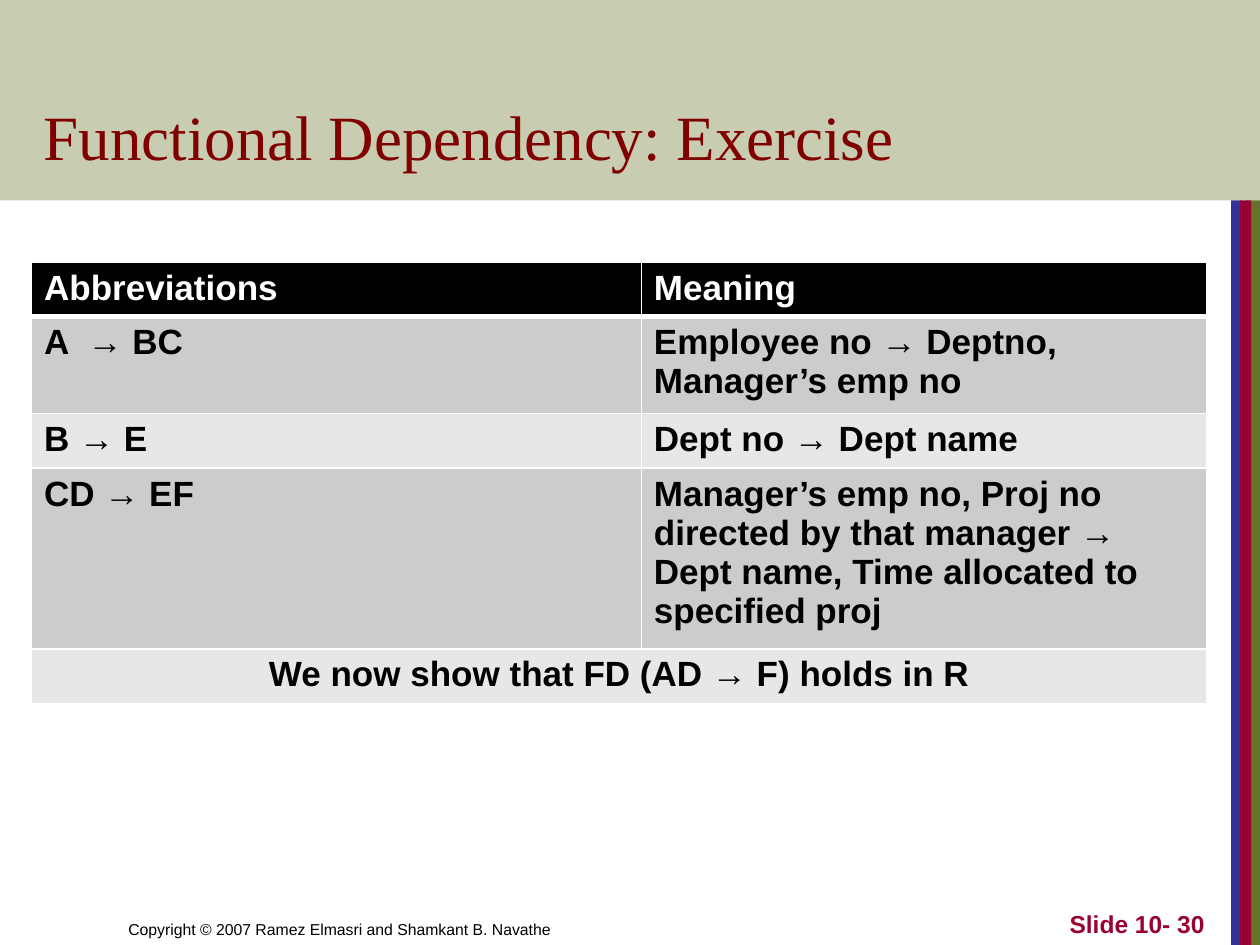
"""Build the functional dependency exercise slide."""
from lxml import etree
from pptx import Presentation
from pptx import util as u
from pptx.dml.color import RGBColor
from pptx.enum import shapes, text
from pptx.oxml.ns import qn

COLORS = {
    "white": "FFFFFF",
    "black": "000000",
    "olive": "677228",
    "blue": "333399",
    "crimson": "990033",
    "maroon": "800000",
    "dark_band": "CCCCCC",
    "light_band": "E7E7E7",
}
STRIPES = [(9.89, 0.11, "olive"), (9.77, 0.09, "blue"), (9.84, 0.09, "crimson")]
HEADER_HEIGHT = 1.59
COLUMN_WIDTHS = [4.84, 4.49]
ROW_HEIGHTS = [0.41, 0.72, 0.41, 1.34, 0.41]
ROWS = [
    ("Abbreviations", "Meaning"),
    ("A  → BC", "Employee no → Deptno, Manager’s emp no"),
    ("B → E", "Dept no → Dept name"),
    ("CD → EF", "Manager’s emp no, Proj no directed by that manager → "
                "Dept name, Time allocated to specified proj"),
    ("We now show that FD (AD → F) holds in R",),
]


def color(name):
    return RGBColor.from_string(COLORS[name])


def format_runs(paragraph, size, color_name, bold=False, font="Arial"):
    for run in paragraph.runs:
        run.font.name = font
        run.font.size = u.Pt(size)
        run.font.bold = bold
        run.font.color.rgb = color(color_name)


def add_bar(slide, left, top, width, height, color_name, opacity=100):
    shape = slide.shapes.add_shape(
        shapes.MSO_SHAPE.RECTANGLE,
        u.Inches(left), u.Inches(top), u.Inches(width), u.Inches(height))
    shape.shadow.inherit = False
    shape.line.fill.background()
    shape.fill.solid()
    shape.fill.fore_color.rgb = color(color_name)
    if opacity < 100:
        fill_color = shape.fill._xPr.find(qn("a:solidFill"))[0]
        etree.SubElement(fill_color, qn("a:alpha"), val=str(opacity * 1000))


def add_label(slide, left, top, width, height, words, size, color_name,
              align=text.PP_ALIGN.LEFT, **style):
    box = slide.shapes.add_textbox(
        u.Inches(left), u.Inches(top), u.Inches(width), u.Inches(height))
    frame = box.text_frame
    frame.word_wrap = True
    frame.vertical_anchor = text.MSO_ANCHOR.BOTTOM
    frame.text = words
    paragraph = frame.paragraphs[0]
    paragraph.alignment = align
    format_runs(paragraph, size, color_name, **style)


def set_borders(cell, bottom_width):
    properties = cell._tc.get_or_add_tcPr()
    widths = {"lnL": 1, "lnR": 1, "lnT": 1, "lnB": bottom_width}
    for index, (side, width) in enumerate(widths.items()):
        line = etree.Element(qn(f"a:{side}"), w=str(u.Pt(width)))
        fill = etree.SubElement(line, qn("a:solidFill"))
        etree.SubElement(fill, qn("a:srgbClr"), val=COLORS["white"])
        properties.insert(index, line)


def style_cell(cell, row_index):
    is_header = row_index == 0
    band = "dark_band" if row_index % 2 else "light_band"
    cell.fill.solid()
    cell.fill.fore_color.rgb = color("black" if is_header else band)
    set_borders(cell, 3 if is_header else 1)
    format_runs(cell.text_frame.paragraphs[0], 20,
                "white" if is_header else "black", bold=True)


def add_dependency_table(slide):
    table = slide.shapes.add_table(
        len(ROWS), len(COLUMN_WIDTHS), u.Inches(0.25), u.Inches(2.08),
        u.Inches(sum(COLUMN_WIDTHS)), u.Inches(sum(ROW_HEIGHTS))).table
    for column, width in zip(table.columns, COLUMN_WIDTHS):
        column.width = u.Inches(width)
    for row_index, (words, height) in enumerate(zip(ROWS, ROW_HEIGHTS)):
        row = table.rows[row_index]
        row.height = u.Inches(height)
        for cell, content in zip(row.cells, words):
            cell.text = content
        for cell in row.cells:
            style_cell(cell, row_index)
    last = len(ROWS) - 1
    conclusion = table.cell(last, 0)
    conclusion.merge(table.cell(last, 1))
    conclusion.text_frame.paragraphs[0].alignment = text.PP_ALIGN.CENTER


def main():
    presentation = Presentation()
    presentation.slide_width = u.Inches(10)
    presentation.slide_height = u.Inches(7.5)
    slide = presentation.slides.add_slide(presentation.slide_layouts[6])
    for left, width, color_name in STRIPES:
        add_bar(slide, left, HEADER_HEIGHT, width, 7.5 - HEADER_HEIGHT, color_name)
    add_bar(slide, 0, 0, 10, HEADER_HEIGHT, "olive", opacity=36)
    add_label(slide, 0.92, 7, 4.92, 0.5,
              "Copyright © 2007 Ramez Elmasri and Shamkant B. Navathe", 9, "black")
    add_label(slide, 0.25, 0.33, 8.53, 1.09, "Functional Dependency: Exercise",
              36, "maroon", font="Times New Roman")
    add_label(slide, 7.58, 7, 2.08, 0.5, "Slide 10- 30", 14, "crimson",
              align=text.PP_ALIGN.RIGHT, bold=True)
    add_dependency_table(slide)
    presentation.save("out.pptx")


if __name__ == "__main__":
    main()
